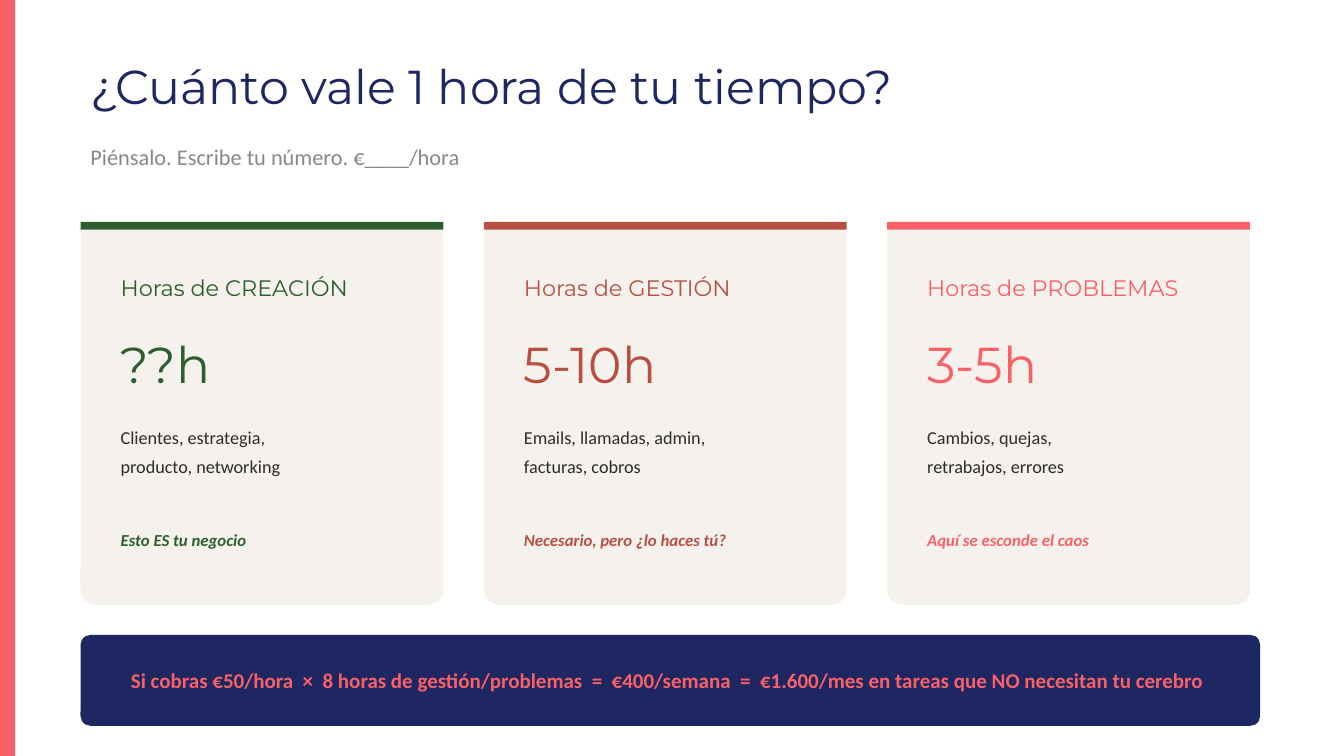
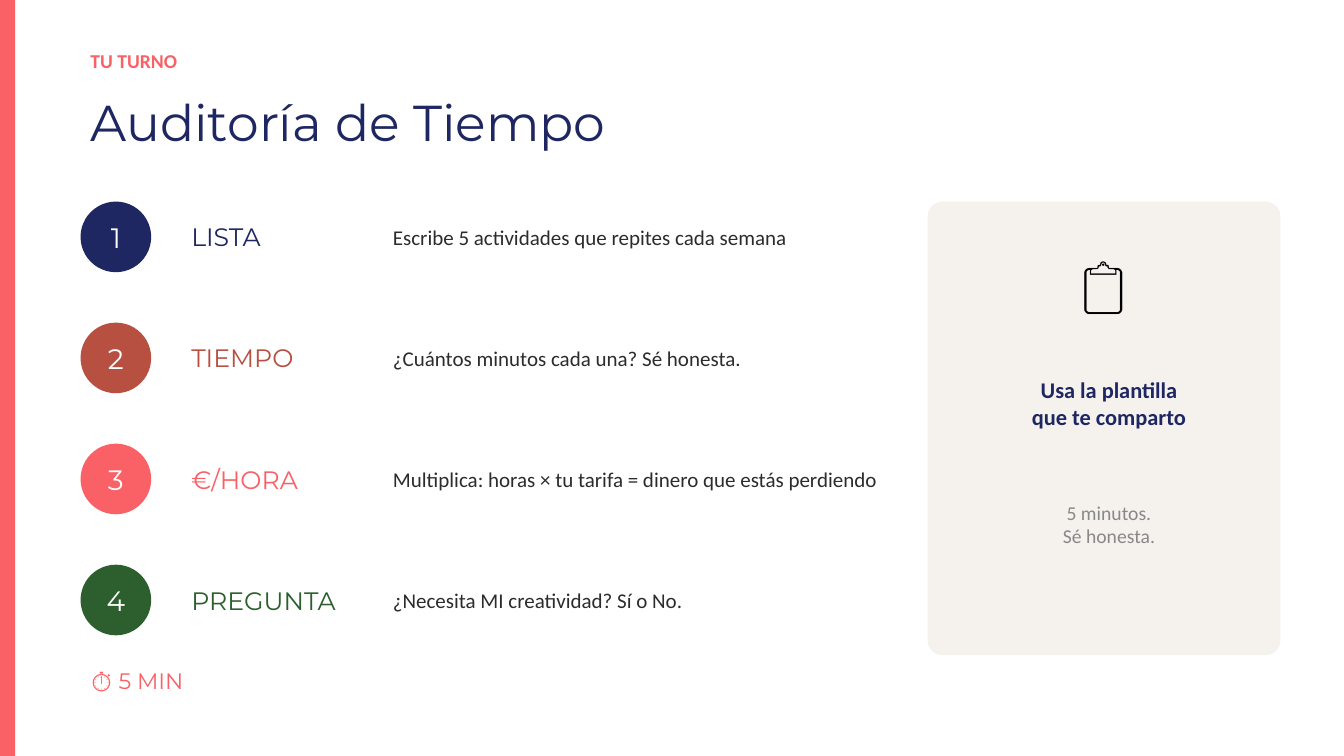
from dataclasses import dataclass

from pptx import Presentation
from pptx.dml.color import RGBColor
from pptx.enum.shapes import MSO_SHAPE
from pptx.enum.text import MSO_ANCHOR, MSO_AUTO_SIZE, PP_ALIGN
from pptx.util import Cm, Pt

RECTANGLE = MSO_SHAPE.RECTANGLE
ROUNDED = MSO_SHAPE.ROUNDED_RECTANGLE
OVAL = MSO_SHAPE.OVAL
LEFT = PP_ALIGN.LEFT
CENTER = PP_ALIGN.CENTER
MIDDLE = MSO_ANCHOR.MIDDLE
NO_FIT = MSO_AUTO_SIZE.NONE
TITLE_ONLY = 5

HEADING = "Montserrat"
BODY = "Calibri"
NAVY = "1E2761"
CORAL = "F96167"
BRICK = "B85042"
GREEN = "2C5F2D"
CREAM = "F5F2EE"
INK = "2C2C2C"
GRAY = "888888"
BLACK = "000000"
WHITE = "FFFFFF"

PAGE_WIDTH = 33.86
PAGE_HEIGHT = 19.05
MARGIN = 2.03


@dataclass
class Box:
    left: float
    top: float
    width: float
    height: float

    def inner(self, left, top, width, height):
        return Box(self.left + left, self.top + top, width, height)

    def lengths(self):
        return Cm(self.left), Cm(self.top), Cm(self.width), Cm(self.height)


@dataclass
class Style:
    size: float
    color: str
    font: str = BODY
    bold: bool = False
    italic: bool = False
    align: PP_ALIGN = LEFT
    spacing: float = 1.0


def rgb(color):
    return RGBColor.from_string(color)


def write(frame, lines, style):
    frame.word_wrap = True
    frame.auto_size = NO_FIT
    frame.vertical_anchor = MIDDLE
    for index, line in enumerate(lines):
        para = frame.add_paragraph() if index else frame.paragraphs[0]
        para.alignment = style.align
        para.line_spacing = style.spacing
        span = para.add_run()
        span.text = line
        span.font.name = style.font
        span.font.size = Pt(style.size)
        span.font.bold = style.bold
        span.font.italic = style.italic
        span.font.color.rgb = rgb(style.color)


def add_text(page, box, lines, style):
    text_box = page.shapes.add_textbox(*box.lengths())
    write(text_box.text_frame, lines, style)


def add_block(page, kind, box, color, radius=0.0):
    block = page.shapes.add_shape(kind, *box.lengths())
    block.shadow.inherit = False
    block.fill.solid()
    block.fill.fore_color.rgb = rgb(color)
    block.line.fill.background()
    if radius:
        block.adjustments[0] = radius / min(box.width, box.height)
    return block


def add_page(deck, title, box, size):
    page = deck.slides.add_slide(deck.slide_layouts[TITLE_ONLY])
    page.background.fill.solid()
    page.background.fill.fore_color.rgb = rgb(WHITE)
    add_block(page, RECTANGLE, Box(0, 0, 0.38, PAGE_HEIGHT), CORAL)
    heading = page.shapes.title
    heading.left, heading.top, heading.width, heading.height = box.lengths()
    write(heading.text_frame, [title], Style(size, NAVY, HEADING))
    return page


def add_hours_card(page, box, color, name, hours, examples, verdict):
    add_block(page, ROUNDED, box, CREAM, 0.38)
    add_block(page, RECTANGLE, box.inner(0, 0, box.width, 0.2), color)
    rows = [
        (0.76, 1.78, [name], Style(16, color, HEADING)),
        (2.54, 2.03, [hours], Style(36, color, HEADING)),
        (4.57, 2.29, examples, Style(13, INK, spacing=1.3)),
        (7.37, 1.27, [verdict], Style(12, color, bold=True, italic=True)),
    ]
    pad = 0.76
    for top, height, lines, style in rows:
        add_text(page, box.inner(pad, top, box.width - 2 * pad, height), lines, style)


def add_cost_banner(page, box, sentence):
    add_block(page, ROUNDED, box, NAVY, 0.25)
    add_text(page, box.inner(1.02, 0.13, 27.94, 2.03), [sentence],
             Style(15, CORAL, bold=True))


def add_step(page, box, number, color, name, task):
    circle = add_block(page, OVAL, box.inner(0, 0, box.height, box.height), color)
    frame = circle.text_frame
    frame.margin_left = frame.margin_right = Cm(0)
    frame.margin_top = frame.margin_bottom = Cm(0)
    write(frame, [str(number)], Style(20, WHITE, HEADING, align=CENTER))
    add_text(page, box.inner(2.54, 0, 5.08, box.height), [name],
             Style(18, color, HEADING))
    add_text(page, box.inner(7.62, 0, box.width - 7.62, box.height), [task],
             Style(15, INK))


def add_template_panel(page, box):
    add_block(page, ROUNDED, box, CREAM, 0.38)
    add_text(page, box.inner(0, 0.76, box.width, 2.54), ["📋"],
             Style(40, BLACK, align=CENTER))
    add_text(page, box.inner(0.76, 3.81, 7.62, 2.54),
             ["Usa la plantilla", "que te comparto"],
             Style(16, NAVY, bold=True, align=CENTER))
    add_text(page, box.inner(0.76, 7.11, 7.62, 2.03),
             ["5 minutos.", "Sé honesta."], Style(14, GRAY, align=CENTER))


def build_hour_value(deck):
    page = add_page(deck, "¿Cuánto vale 1 hora de tu tiempo?",
                    Box(MARGIN, 1.02, 27.94, 2.29), 34)
    add_text(page, Box(MARGIN, 3.3, 27.94, 1.27),
             ["Piénsalo. Escribe tu número. €____/hora"], Style(16, GRAY))
    cards = [
        (GREEN, "Horas de CREACIÓN", "??h",
         ["Clientes, estrategia,", "producto, networking"], "Esto ES tu negocio"),
        (BRICK, "Horas de GESTIÓN", "5-10h",
         ["Emails, llamadas, admin,", "facturas, cobros"],
         "Necesario, pero ¿lo haces tú?"),
        (CORAL, "Horas de PROBLEMAS", "3-5h",
         ["Cambios, quejas,", "retrabajos, errores"], "Aquí se esconde el caos"),
    ]
    for index, card in enumerate(cards):
        box = Box(MARGIN + index * 10.16, 5.59, 9.14, 9.65)
        add_hours_card(page, box, *card)
    add_cost_banner(
        page, Box(MARGIN, 16, 29.72, 2.29),
        "Si cobras €50/hora  ×  8 horas de gestión/problemas  =  €400/semana  =  "
        "€1.600/mes en tareas que NO necesitan tu cerebro")


def build_time_audit(deck):
    page = add_page(deck, "Auditoría de Tiempo", Box(MARGIN, 2.03, 20.32, 2.03), 36)
    add_text(page, Box(MARGIN, 0.76, 7.62, 1.52), ["TU TURNO"],
             Style(14, CORAL, bold=True))
    steps = [
        (NAVY, "LISTA", "Escribe 5 actividades que repites cada semana"),
        (BRICK, "TIEMPO", "¿Cuántos minutos cada una? Sé honesta."),
        (CORAL, "€/HORA", "Multiplica: horas × tu tarifa = dinero que estás perdiendo"),
        (GREEN, "PREGUNTA", "¿Necesita MI creatividad? Sí o No."),
    ]
    for index, step in enumerate(steps):
        box = Box(MARGIN, 5.08 + index * 3.05, 20.32, 1.78)
        add_step(page, box, index + 1, *step)
    add_template_panel(page, Box(23.37, 5.08, 8.89, 11.43))
    add_text(page, Box(MARGIN, 16.51, 5.08, 1.27), ["⏱ 5 MIN"],
             Style(16, CORAL, HEADING))


def main():
    deck = Presentation()
    deck.slide_width = Cm(PAGE_WIDTH)
    deck.slide_height = Cm(PAGE_HEIGHT)
    build_hour_value(deck)
    build_time_audit(deck)
    deck.save("out.pptx")


if __name__ == "__main__":
    main()
